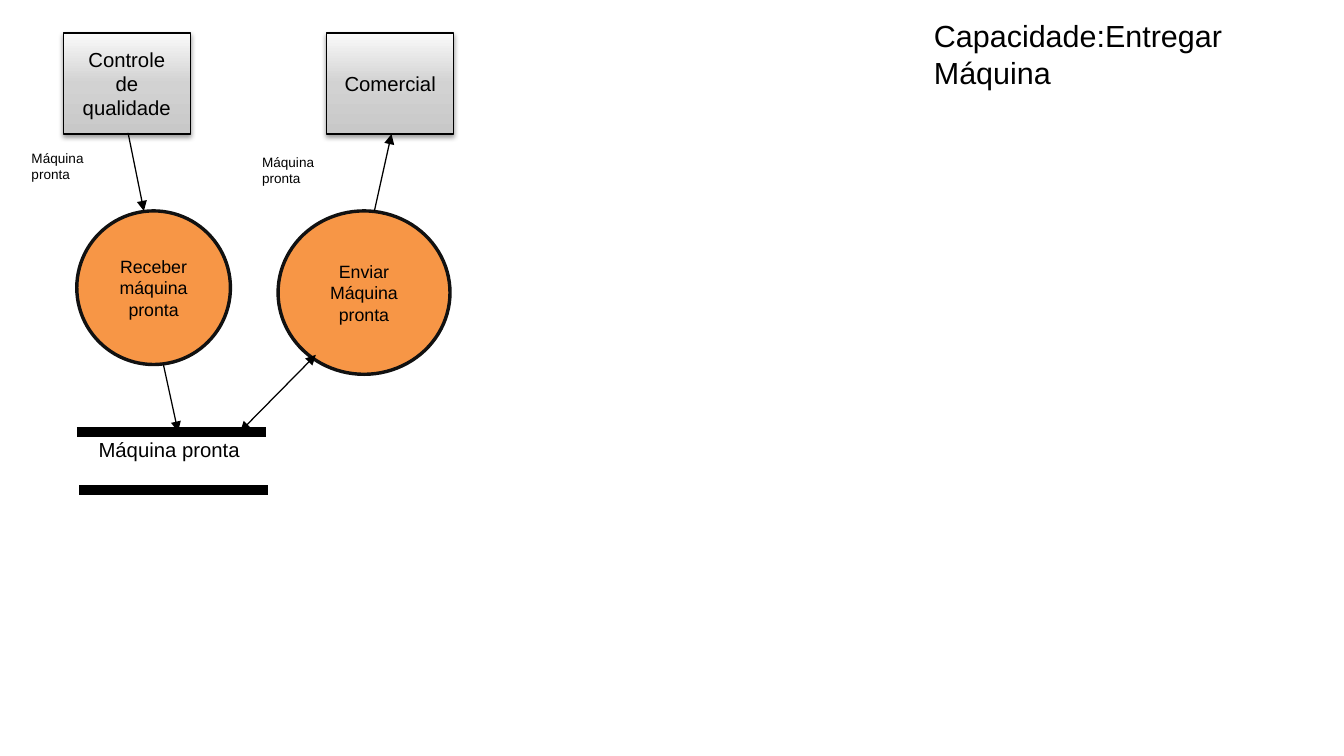
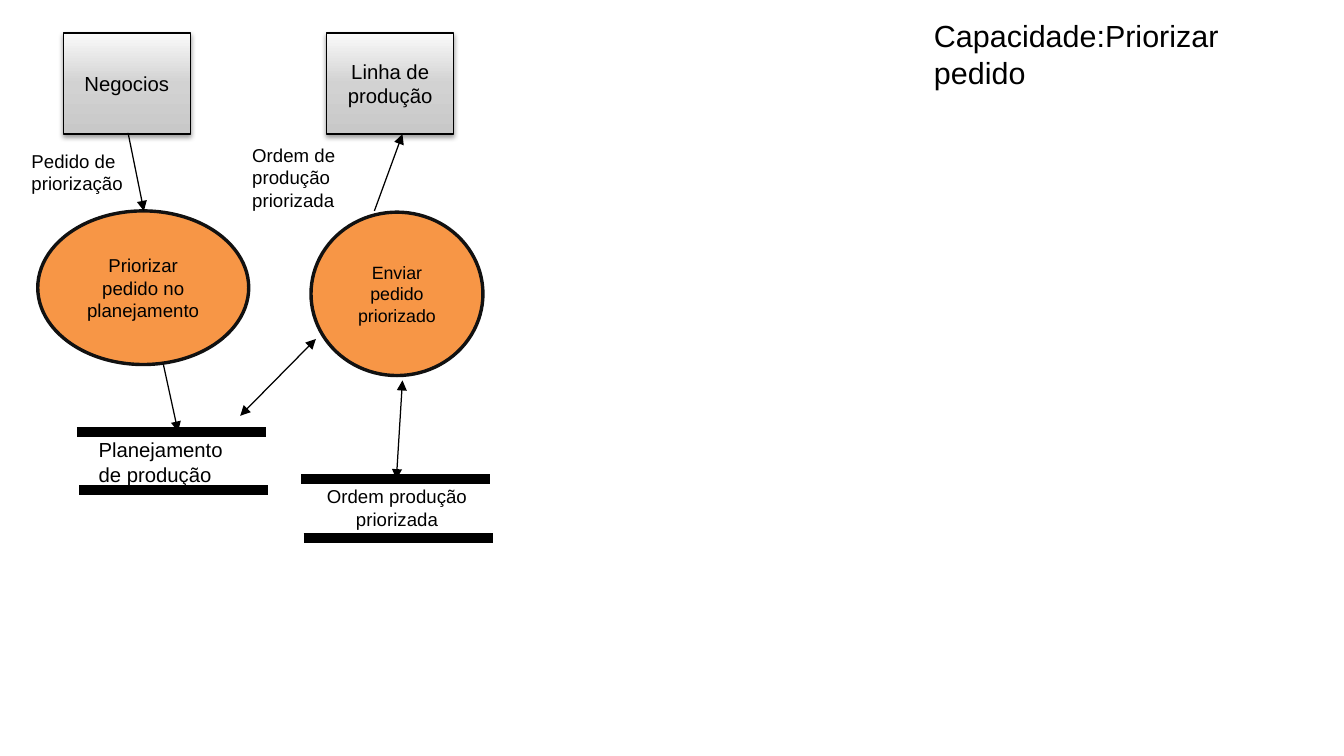
from copy import deepcopy

from pptx import Presentation
from pptx.dml.color import RGBColor
from pptx.enum.shapes import MSO_CONNECTOR, MSO_SHAPE
from pptx.enum.text import MSO_ANCHOR, MSO_AUTO_SIZE, PP_ALIGN
from pptx.oxml import parse_xml
from pptx.oxml.ns import nsdecls, qn
from pptx.util import Inches, Pt

BLACK, ORANGE, RIM = "000000", "F79646", "111111"
GRADIENT = [(0, "C8C8C8"), (0.5, "D2D2D2"), (1, "FAFAFA")]
SHADOW = (
    f'<a:outerShdw {nsdecls("a")} blurRad="39370" dist="20320" dir="5400000" '
    'rotWithShape="0"><a:srgbClr val="000000"><a:alpha val="38000"/>'
    '</a:srgbClr></a:outerShdw>'
)
LEFT, CENTER = PP_ALIGN.LEFT, PP_ALIGN.CENTER

# Parts on both slides: box positions, and arrows as (x1, y1, x2, y2, ends)
BOX_LEFTS = [0.52, 2.68]
ARROWS = [
    (1.05, 1.09, 1.18, 1.73, ["tail"]),
    (1.34, 2.99, 1.46, 3.54, ["tail"]),
]
BOTH = ["head", "tail"]

# Circles: text, size, left, top, width, height
# Labels: text, size, left, top, width, height, alignment
# Stores: left and top of the upper bar
SLIDES = [
    {
        "title": "Capacidade:Entregar Máquina",
        "boxes": ["Controle de qualidade", "Comercial"],
        "circles": [
            ("Receber máquina pronta", 10.5, 0.63, 1.73, 1.26, 1.26),
            ("Enviar Máquina pronta", 10.5, 2.28, 1.73, 1.41, 1.34),
        ],
        "labels": [
            ("Máquina pronta", 8, 0.16, 1.18, 0.92, 0.36, LEFT),
            ("Máquina pronta", 8, 2.05, 1.21, 0.92, 0.36, LEFT),
            ("Máquina pronta", 12, 0.71, 3.54, 1.41, 0.3, LEFT),
        ],
        "stores": [(0.63, 3.54)],
        "arrows": [
            (3.07, 1.73, 3.21, 1.1, ["tail"]),
            (2.59, 2.91, 1.97, 3.54, BOTH),
        ],
    },
    {
        "title": "Capacidade:Priorizar pedido",
        "boxes": ["Negocios", "Linha de produção"],
        "circles": [
            ("Priorizar pedido no planejamento", 11, 0.31, 1.73, 1.73, 1.26),
            ("Enviar pedido priorizado", 10.5, 2.55, 1.74, 1.41, 1.34),
        ],
        "labels": [
            ("Pedido de priorização", 11, 0.16, 1.18, 0.96, 0.47, LEFT),
            ("Ordem de produção priorizada", 11, 1.97, 1.13, 1.04, 0.65, LEFT),
            ("Planejamento de produção", 12, 0.71, 3.54, 1.41, 0.5, LEFT),
            ("Ordem produção priorizada", 11, 2.55, 3.93, 1.41, 0.47, CENTER),
        ],
        "stores": [(0.63, 3.54), (2.47, 3.93)],
        "arrows": [
            (3.07, 1.73, 3.3, 1.1, ["tail"]),
            (2.59, 2.78, 1.97, 3.41, BOTH),
            (3.3, 3.12, 3.25, 3.93, BOTH),
        ],
    },
]


def paint(target, color):
    """Give a solid colour to a fill, or to the fill of a line."""
    target.solid()
    target.fore_color.rgb = RGBColor.from_string(color)


def write(shape, text, size, align):
    frame = shape.text_frame
    frame.word_wrap = True
    frame.text = text
    line = frame.paragraphs[0]
    line.alignment = align
    line.font.name = "Arial"
    line.font.size = Pt(size)
    paint(line.font.fill, BLACK)


prs = Presentation()
prs.slide_width, prs.slide_height = Inches(11.02), Inches(6.2)

for data in SLIDES:
    shapes = prs.slides.add_slide(prs.slide_layouts[6]).shapes

    for text, left in zip(data["boxes"], BOX_LEFTS):
        box = shapes.add_shape(MSO_SHAPE.RECTANGLE, Inches(left), Inches(0.27),
                               Inches(1.04), Inches(0.83))
        box.fill.gradient()
        box.fill.gradient_angle = 90
        props = box._element.spPr
        stops = props.find(".//" + qn("a:gsLst"))
        stops.insert(1, deepcopy(stops[0]))
        for stop, (place, color) in zip(box.fill.gradient_stops, GRADIENT):
            stop.position = place
            stop.color.rgb = RGBColor.from_string(color)
        paint(box.line.fill, BLACK)
        box.line.width = Pt(0.75)
        box.shadow.inherit = False
        props.find(qn("a:effectLst")).append(parse_xml(SHADOW))
        box.text_frame.vertical_anchor = MSO_ANCHOR.MIDDLE
        write(box, text, 12, CENTER)

    for text, size, *place in data["circles"]:
        circle = shapes.add_shape(MSO_SHAPE.OVAL, *map(Inches, place))
        circle.shadow.inherit = False
        paint(circle.fill, ORANGE)
        paint(circle.line.fill, RIM)
        circle.line.width = Pt(2)
        circle.text_frame.vertical_anchor = MSO_ANCHOR.MIDDLE
        write(circle, text, size, CENTER)

    title = (data["title"], 18, 7.56, 0.09, 3.07, 0.7, LEFT)
    for text, size, *place, align in [title] + data["labels"]:
        label = shapes.add_textbox(*map(Inches, place))
        label.text_frame.auto_size = MSO_AUTO_SIZE.SHAPE_TO_FIT_TEXT
        write(label, text, size, align)

    # Each store is two thick bars, the lower one set slightly to the right
    strokes = []
    for left, top in data["stores"]:
        for x, y in [(left, top), (left + 0.02, top + 0.48)]:
            strokes.append((x, y, x + 1.55, y, [], 6))
    strokes += [(*arrow, 0.75) for arrow in ARROWS + data["arrows"]]

    for *points, ends, width in strokes:
        stroke = shapes.add_connector(MSO_CONNECTOR.STRAIGHT, *map(Inches, points))
        paint(stroke.line.fill, BLACK)
        stroke.line.width = Pt(width)
        props = stroke._element.spPr
        for end in ends:
            props.find(qn("a:ln")).append(
                parse_xml(f'<a:{end}End {nsdecls("a")} type="triangle"/>'))
        props.append(parse_xml(f'<a:effectLst {nsdecls("a")}/>'))

prs.save("out.pptx")
